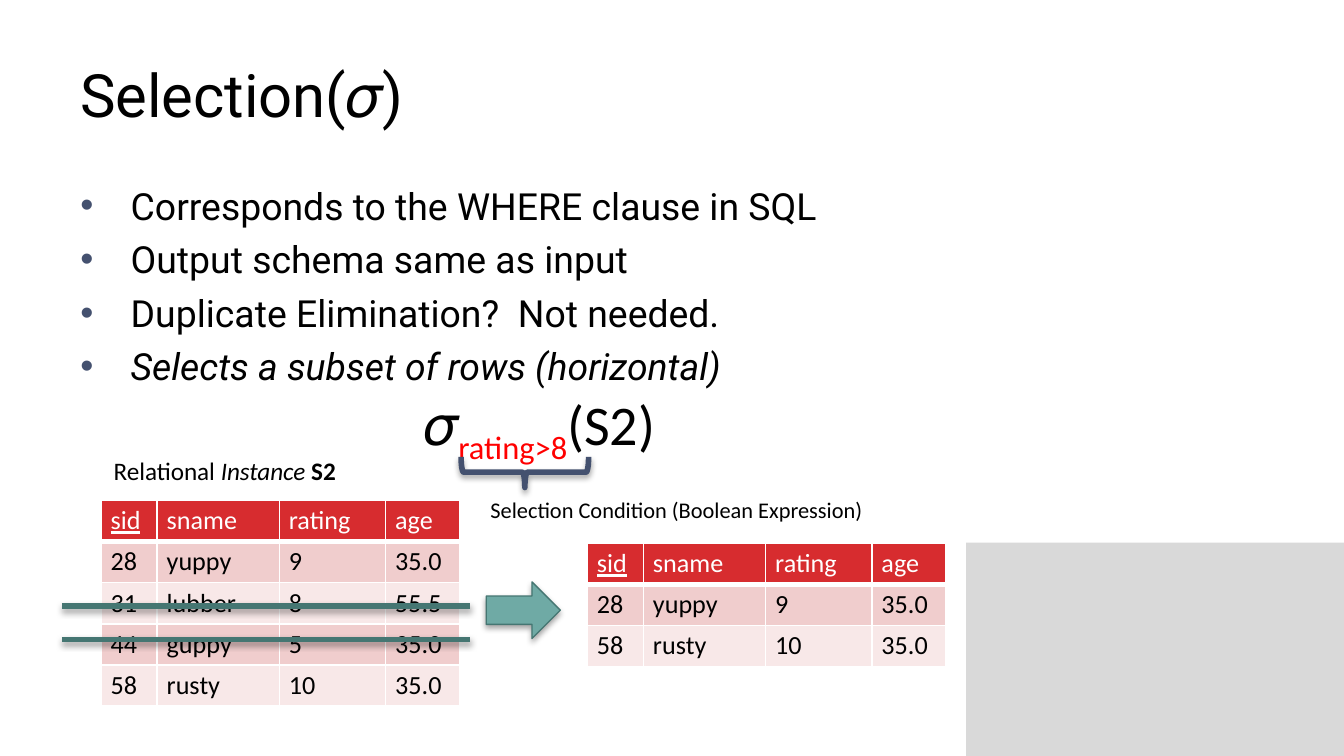
from lxml import etree
from pptx import Presentation
from pptx.dml.color import RGBColor
from pptx.enum.shapes import MSO_CONNECTOR, MSO_SHAPE
from pptx.enum.text import MSO_ANCHOR, MSO_AUTO_SIZE
from pptx.oxml import parse_xml
from pptx.oxml.ns import nsdecls, qn
from pptx.util import Cm, Pt

COLORS = {
    "black": "000000", "white": "FFFFFF", "red": "FF0000", "gray": "D9D9D9",
    "navy": "44516F", "teal": "6FAAA5", "dark_teal": "457672",
    "header": "D72C2F", "odd": "F0CDCD", "even": "F8E8E8",
}
HEADER = ("sid", "sname", "rating", "age")
S2_ROWS = [
    ("28", "yuppy", "9", "35.0"),
    ("31", "lubber", "8", "55.5"),
    ("44", "guppy", "5", "35.0"),
    ("58", "rusty", "10", "35.0"),
]
COL_WIDTHS = (1.06, 2.31, 2.01, 1.4)
ROW_HEIGHT = 0.78
BULLETS = [
    ("Corresponds to the WHERE clause in SQL", False),
    ("Output schema same as input", False),
    ("Duplicate Elimination?  Not needed.", False),
    ("Selects a subset of rows (horizontal)", True),
]


def rgb(name):
    return RGBColor.from_string(COLORS[name])


def set_font(font, name, size, color="black"):
    font.name = name
    font.size = Pt(size)
    font.color.rgb = rgb(color)


def add_shadow(sp):
    props = sp._element.spPr
    for old in props.findall(qn("a:effectLst")):
        props.remove(old)
    props.append(parse_xml(
        f'<a:effectLst {nsdecls("a")}><a:outerShdw blurRad="40000" dist="23000" '
        'dir="5400000" rotWithShape="0"><a:srgbClr val="000000">'
        '<a:alpha val="35000"/></a:srgbClr></a:outerShdw></a:effectLst>'))


def add_box(slide, x, y, w, h, wrap=False):
    tf = slide.shapes.add_textbox(Cm(x), Cm(y), Cm(w), Cm(h)).text_frame
    tf.word_wrap = wrap
    tf.auto_size = MSO_AUTO_SIZE.NONE if wrap else MSO_AUTO_SIZE.SHAPE_TO_FIT_TEXT
    return tf


def add_label(slide, x, y, w, h, text, size):
    p = add_box(slide, x, y, w, h).paragraphs[0]
    p.text = text
    set_font(p.font, "Calibri", size)
    return p


def add_title(slide):
    tf = add_box(slide, 1.27, 0.58, 22.86, 2.39, wrap=True)
    tf.vertical_anchor = MSO_ANCHOR.MIDDLE
    p = tf.paragraphs[0]
    p.text = "Selection(𝜎)"
    set_font(p.font, "Roboto", 32)


def add_bullets(slide):
    tf = add_box(slide, 1.27, 3.33, 22.86, 9.42, wrap=True)
    for i, (text, italic) in enumerate(BULLETS):
        p = tf.add_paragraph() if i else tf.paragraphs[0]
        p.text = text
        props = p._p.get_or_add_pPr()
        props.set("marL", str(Cm(0.95)))
        props.set("indent", str(Cm(-0.95)))
        color = etree.SubElement(props, qn("a:buClr"))
        etree.SubElement(color, qn("a:srgbClr"), val=COLORS["navy"])
        etree.SubElement(props, qn("a:buFont"), typeface="Arial")
        etree.SubElement(props, qn("a:buChar"), char="•")
        if i:
            p.space_before = Pt(4.7)
        set_font(p.font, "Roboto", 20)
        p.font.italic = italic


def add_formula(slide):
    p = add_box(slide, 7.77, 7.24, 5.23, 1.55).paragraphs[0]
    for text, font, color, baseline in (
        ("𝜎", "Arial", "black", 0),
        ("rating>8", "Calibri", "red", -25000),
        ("(S2)", "Calibri", "black", 0),
    ):
        r = p.add_run()
        r.text = text
        set_font(r.font, font, 30, color)
        if baseline:
            r.font._element.set("baseline", str(baseline))


def add_instance_label(slide):
    p = add_label(slide, 1.9, 8.48, 4.78, 0.84, "Relational ", 13.5)
    for text, style in (("Instance ", "italic"), ("S2", "bold")):
        r = p.add_run()
        r.text = text
        setattr(r.font, style, True)


def add_borders(cell, bottom):
    props = cell._tc.get_or_add_tcPr()
    for side, width in (("L", 1), ("R", 1), ("T", 1), ("B", bottom)):
        ln = etree.SubElement(props, qn(f"a:ln{side}"), w=str(Pt(width)))
        fill = etree.SubElement(ln, qn("a:solidFill"))
        etree.SubElement(fill, qn("a:srgbClr"), val=COLORS["white"])


def add_relation(slide, x, y, rows):
    rows = [HEADER, *rows]
    table = slide.shapes.add_table(
        len(rows), len(HEADER), Cm(x), Cm(y),
        Cm(sum(COL_WIDTHS)), Cm(ROW_HEIGHT * len(rows))).table
    table.horz_banding = False
    for column, width in zip(table.columns, COL_WIDTHS):
        column.width = Cm(width)
    for i, values in enumerate(rows):
        table.rows[i].height = Cm(ROW_HEIGHT)
        fill = "header" if i == 0 else ("even", "odd")[i % 2]
        for j, value in enumerate(values):
            cell = table.cell(i, j)
            cell.margin_left = cell.margin_right = Cm(0.18)
            cell.margin_top = cell.margin_bottom = Cm(0.09)
            add_borders(cell, 1 if i else 3)
            cell.fill.solid()
            cell.fill.fore_color.rgb = rgb(fill)
            p = cell.text_frame.paragraphs[0]
            p.text = value
            set_font(p.font, "Calibri", 14, "black" if i else "white")
            p.font.bold = False
            p.font.underline = i == 0 and value == "sid"


def add_shape(slide, kind, x, y, w, h, fill=None, line=None, width=0.75):
    sp = slide.shapes.add_shape(kind, Cm(x), Cm(y), Cm(w), Cm(h))
    sp.shadow.inherit = False
    if fill:
        sp.fill.solid()
        sp.fill.fore_color.rgb = rgb(fill)
    else:
        sp.fill.background()
    if line:
        sp.line.color.rgb = rgb(line)
        sp.line.width = Pt(width)
        add_shadow(sp)
    else:
        sp.line.fill.background()
    return sp


def add_strike(slide, y):
    line = slide.shapes.add_connector(
        MSO_CONNECTOR.STRAIGHT, Cm(1.17), Cm(y), Cm(8.89), Cm(y))
    line.line.color.rgb = rgb("dark_teal")
    line.line.width = Pt(3)
    add_shadow(line)


def main():
    prs = Presentation()
    prs.slide_width, prs.slide_height = Cm(25.4), Cm(14.29)
    slide = prs.slides.add_slide(prs.slide_layouts[6])

    add_shape(slide, MSO_SHAPE.RECTANGLE, 18.26, 10.26, 7.14, 4.03, "gray")
    add_title(slide)
    add_bullets(slide)
    add_formula(slide)
    add_relation(slide, 1.91, 9.45, S2_ROWS)
    add_shape(slide, MSO_SHAPE.RIGHT_ARROW, 9.19, 11, 1.4, 1.07, "teal", "dark_teal")
    add_label(slide, 9.02, 9.25, 7.62, 0.76,
              "Selection Condition (Boolean Expression)", 12)
    brace = add_shape(slide, MSO_SHAPE.LEFT_BRACE, 9.63, 7.72, 0.58, 2.41,
                      line="navy", width=3)
    brace.rotation = 270
    add_relation(slide, 11.1, 10.26, [row for row in S2_ROWS if int(row[2]) > 8])
    for y in (11.46, 12.09):
        add_strike(slide, y)
    add_instance_label(slide)

    prs.save("out.pptx")


if __name__ == "__main__":
    main()
